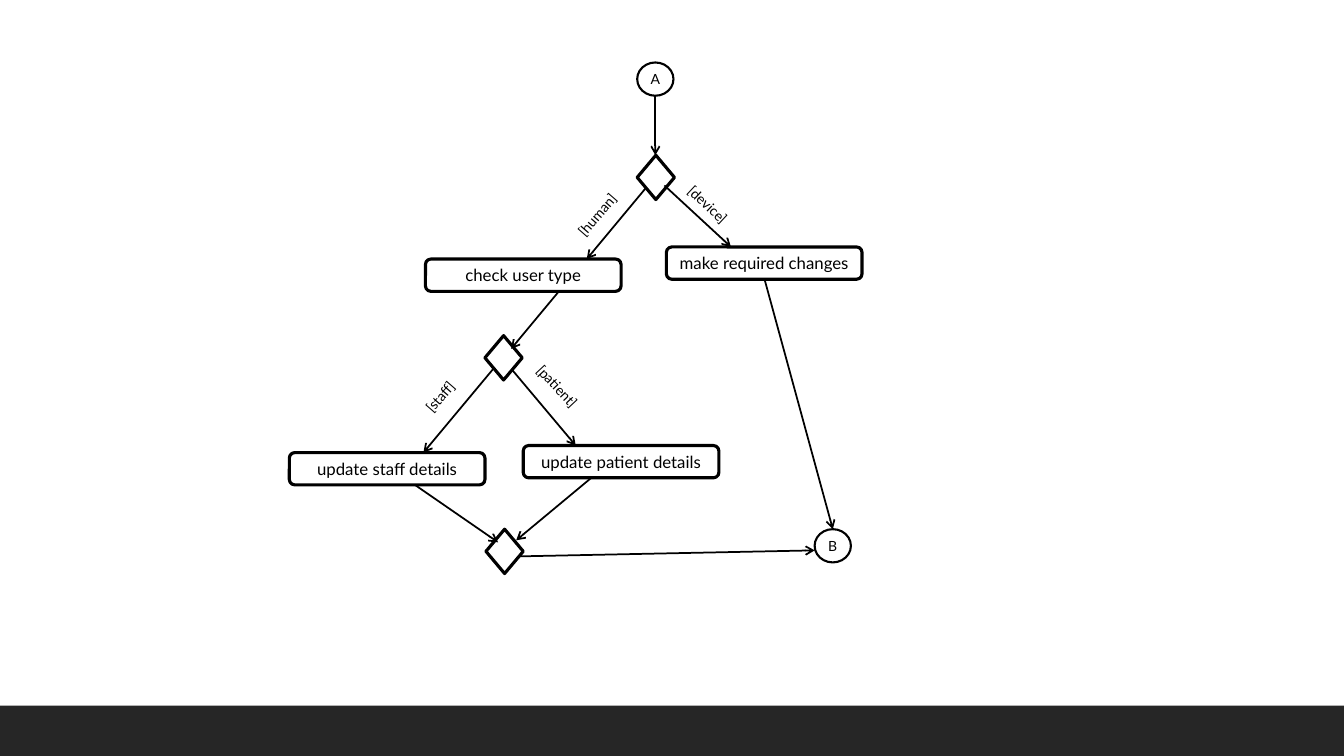
from collections import namedtuple

from lxml.etree import SubElement
from pptx import Presentation
from pptx.dml.color import RGBColor
from pptx.enum.shapes import MSO_CONNECTOR as Connector, MSO_SHAPE as Shape
from pptx.enum.text import MSO_ANCHOR as Anchor, PP_ALIGN as Align
from pptx.oxml.ns import qn
from pptx.util import Inches, Pt

COLORS = {"ink": "000000", "paper": "FFFFFF", "footer": "262626"}
FONT = "Lato"
COLUMNS, ROWS = 58, 52  # grid of the flow chart

Box = namedtuple("Box", "left top width height")

# Sizes in grid columns and rows
CIRCLE, DIAMOND, STEP, LABEL = (3.6, 3.3), (3.7, 4.4), (19.4, 3.2), (7.9, 2.7)

# Places as (column, row) of the upper left corner
ENDPOINTS = [("A", 35.2, 0.2), ("B", 52.8, 46.5)]
DECISIONS = [(35.2, 9.4), (20.1, 27.3), (20.2, 46.5)]
STEPS = [
    ("check user type", 14.2, 19.7),
    ("make required changes", 38.1, 18.5),
    ("update staff details", 0.7, 38.9),
    ("update patient details", 23.9, 38.2),
]
GUARDS = [
    ("[device]", 38.7, 13.4, 43),
    ("[human]", 27.6, 13.6, 311),
    ("[staff]", 12.5, 31.1, 311),
    ("[patient]", 23.6, 31.3, 47),
]
# Arrows as (start, end)
FLOWS = [
    ((37, 3.4), (37, 9.4)),
    ((36.1, 12.6), (30.2, 19.7)),
    ((37.9, 12.4), (44.5, 18.5)),
    ((28.6, 21.5), (22.7, 28.6)),
    ((21, 30.5), (14, 38.9)),
    ((22.8, 30.7), (29.1, 38.2)),
    ((13, 42), (21.4, 47.8)),
    ((30.9, 41.2), (23.2, 47.6)),
    ((23.4, 49.2), (52.8, 48.6)),
    ((47.8, 21.6), (54.6, 46.5)),
]


def color(name):
    return RGBColor.from_string(COLORS[name])


def write(shape, text, size=10, align=Align.CENTER, anchor=Anchor.MIDDLE,
          margins=(0, 0), wrap=True):
    frame = shape.text_frame
    frame.word_wrap = wrap
    frame.vertical_anchor = anchor
    frame.margin_left = frame.margin_right = Inches(margins[0])
    frame.margin_top = frame.margin_bottom = Inches(margins[1])
    para = frame.paragraphs[0]
    para.alignment = align
    span = para.add_run()
    span.text = text
    span.font.name = FONT
    span.font.size = Pt(size)
    span.font.color.rgb = color("ink")


def add_node(page, kind, box, fill=None, line=None):
    node = page.shapes.add_shape(kind, *box)
    node.shadow.inherit = False
    if fill:
        node.fill.solid()
        node.fill.fore_color.rgb = color(fill)
    else:
        node.fill.background()
    if line:
        node.line.color.rgb = color("ink")
        node.line.width = Pt(line)
    else:
        node.line.fill.background()
    return node


def add_arrow(page, start, end):
    arrow = page.shapes.add_connector(Connector.STRAIGHT, *start, *end)
    arrow.line.color.rgb = color("ink")
    arrow.line.width = Pt(1.25)
    SubElement(arrow.line._get_or_add_ln(), qn("a:tailEnd"), type="arrow")
    SubElement(arrow._element.spPr, qn("a:effectLst"))


def draw_flow_chart(page, area):
    def point(column, row):
        return (int(area.left + area.width * column / COLUMNS),
                int(area.top + area.height * row / ROWS))

    def cell(column, row, size):
        width, height = size
        return Box(*point(column, row), int(area.width * width / COLUMNS),
                   int(area.height * height / ROWS))

    # Arrows, behind the nodes
    for start, end in FLOWS:
        add_arrow(page, point(*start), point(*end))

    # Decision and merge diamonds
    for column, row in DECISIONS:
        add_node(page, Shape.DIAMOND, cell(column, row, DIAMOND), line=2.25)

    # Action steps
    for text, column, row in STEPS:
        step = add_node(page, Shape.ROUNDED_RECTANGLE, cell(column, row, STEP),
                        fill="paper", line=2.25)
        write(step, text, size=12)

    # Start and end circles
    for text, column, row in ENDPOINTS:
        circle = add_node(page, Shape.OVAL, cell(column, row, CIRCLE), line=1.5)
        write(circle, text, wrap=False)

    # Guard labels along the arrows
    for text, column, row, angle in GUARDS:
        label = page.shapes.add_textbox(*cell(column, row, LABEL))
        label.rotation = angle
        write(label, text, align=Align.LEFT, anchor=Anchor.TOP, margins=(0.1, 0.05))


def draw_footer(page, area):
    add_node(page, Shape.RECTANGLE, area, fill="footer")


def main():
    deck = Presentation()
    deck.slide_width, deck.slide_height = Inches(13.33), Inches(7.5)
    page = deck.slides.add_slide(deck.slide_layouts[6])
    footer_height = Inches(0.5)
    draw_footer(page, Box(0, deck.slide_height - footer_height,
                          deck.slide_width, footer_height))
    draw_flow_chart(page, Box(Inches(2.8), Inches(0.6), Inches(5.8), Inches(5.2)))
    deck.save("out.pptx")


if __name__ == "__main__":
    main()
